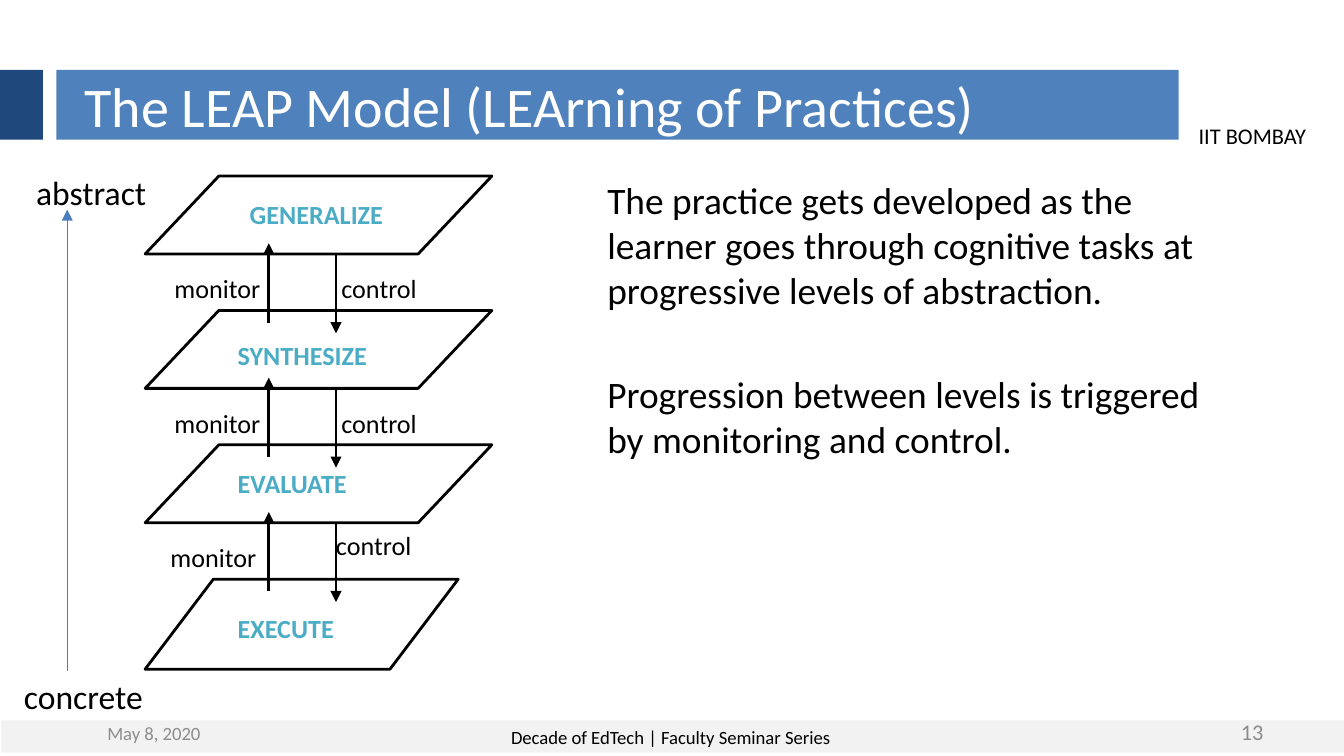
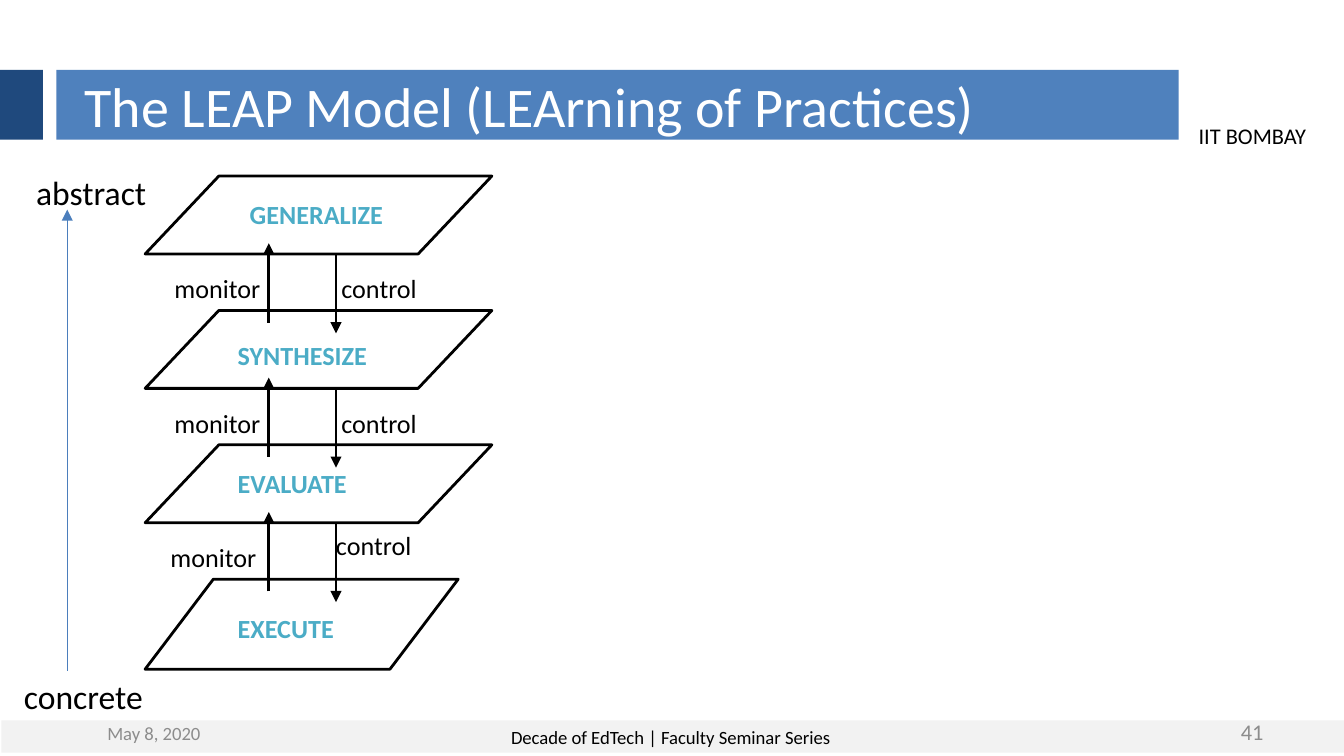
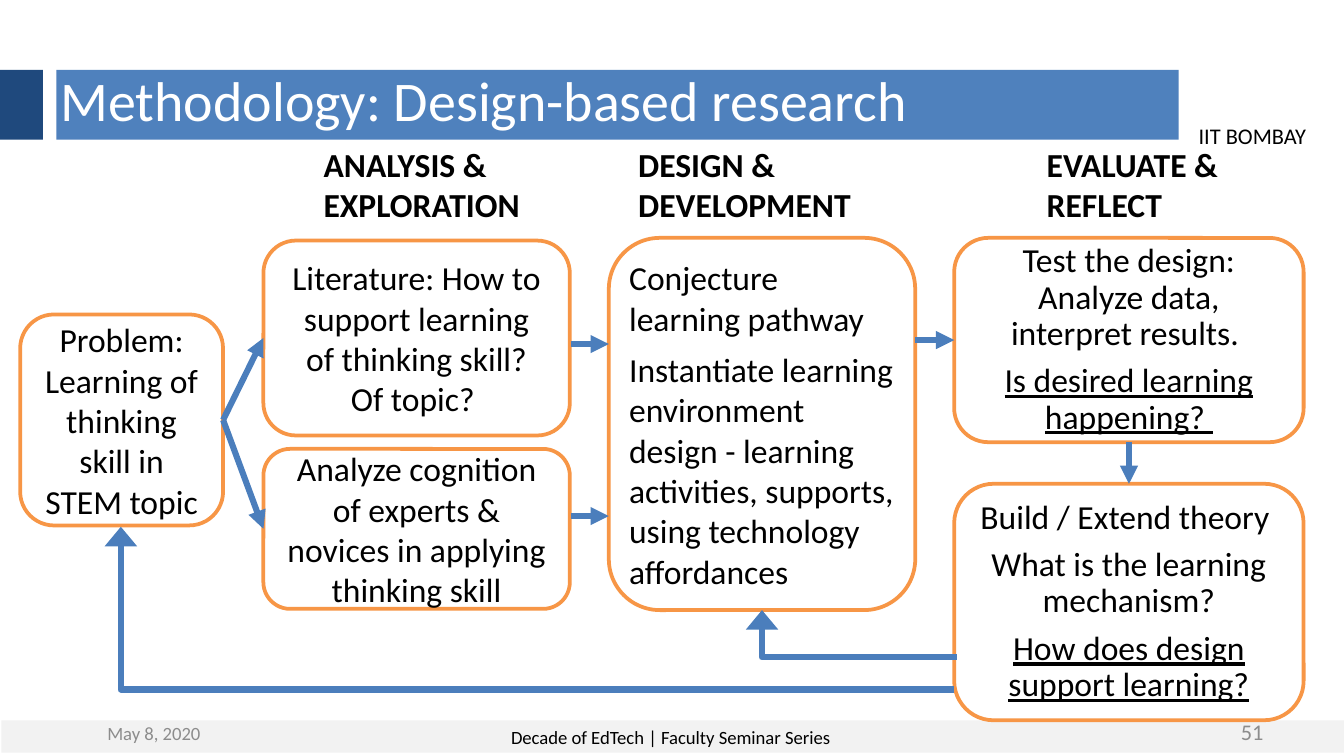
from lxml import etree
from pptx import Presentation
from pptx.dml.color import RGBColor
from pptx.enum import shapes, text
from pptx.oxml import ns
from pptx.util import Inches, Pt

FONT = "Calibri"
COLORS = {
    "black": "000000", "white": "FFFFFF", "gray": "8C8C8C", "footer": "F2F2F2",
    "band": "4F81BD", "navy": "1F497D", "teal": "4BACC6", "arrow": "4B7EBC",
    "orange": "F79646",
}
ORGANIZATION = "IIT BOMBAY"
FOOTER = "Decade of EdTech | Faculty Seminar Series "
DATE = "May 8, 2020"

LEAP_TITLE = "The LEAP Model (LEArning of Practices)"
LEAP_NOTES = [
    "The practice gets developed as the learner goes through cognitive tasks "
    "at progressive levels of abstraction.",
    "Progression between levels is triggered by monitoring and control.",
]
LEVELS = [
    ("GENERALIZE", (1.76, 1.43), (2.58, 0.58), 0.946),
    ("SYNTHESIZE", (1.67, 2.48), (2.58, 0.58), 0.946),
    ("EVALUATE", (1.67, 3.43), (2.58, 0.58), 0.946),
    ("EXECUTE", (1.67, 4.51), (2.33, 0.67), 0.758),
]
STEP_LABELS = [
    ((1.2, 1.98), (2.54, 1.98)),
    ((1.2, 2.98), (2.54, 2.98)),
    ((1.17, 3.98), (2.5, 3.89)),
]
AXIS_ENDS = [("concrete", 0.08, 4.98), ("abstract", 0.17, 1.23)]

METHOD_TITLE = "Methodology: Design-based research"
PHASES = [
    (["ANALYSIS & EXPLORATION"], 2.31, 1.84),
    (["DESIGN &", "DEVELOPMENT"], 4.65, 1.81),
    (["EVALUATE &", "REFLECT"], 7.69, 1.5),
]
STAGES = {
    "problem": ((0.15, 2.34, 1.51, 1.57),
                ["Problem: Learning of thinking skill in STEM topic"], {}),
    "cognition": ((1.96, 3.34, 2.28, 1.19),
                  ["Analyze cognition of experts & novices in applying thinking skill"], {}),
    "design": ((4.53, 1.77, 2.28, 2.77),
               ["Conjecture learning pathway",
                "Instantiate learning environment design - learning activities, "
                "supports, using technology affordances"],
               {"align": "LEFT", "margins": (0.04, 0.04), "gap": 6}),
    "test": ((7.1, 1.77, 2.6, 1.52),
             ["Test the design: Analyze data, interpret results. ",
              "Is desired learning happening? "],
             {"spacing": 0.9, "gap": 6, "underlined": 1}),
    "theory": ((7.1, 3.6, 2.6, 1.76),
               ["Build / Extend theory ", "What is the learning mechanism?",
                "How does design support learning?"],
               {"spacing": 0.9, "gap": 6, "underlined": 2}),
    "literature": ((1.96, 1.79, 2.28, 1.45),
                   ["Literature: How to support learning of thinking skill? Of topic? "], {}),
}
JOINED_ARROWS = [
    ("problem", 3, "literature", 1),
    ("problem", 3, "cognition", 1),
    ("test", 2, "theory", 0),
]
FLOW_ARROWS = [((4.25, 2.56), (4.53, 2.56)), ((4.25, 3.84), (4.53, 3.84))]
FEEDBACK_ARROWS = [((7.12, 4.89), (5.67, 4.54)), ((7.1, 5.13), (0.9, 3.92))]


def color(name):
    return RGBColor.from_string(COLORS[name])


def write(frame, content, size=18, ink="black", bold=False, align="LEFT", anchor="TOP",
          margins=(0.1, 0.1), spacing=None, gap=0, underlined=None):
    frame.word_wrap = True
    frame.auto_size = text.MSO_AUTO_SIZE.NONE
    frame.vertical_anchor = getattr(text.MSO_ANCHOR, anchor)
    frame.margin_left, frame.margin_right = map(Inches, margins)
    frame.margin_top = frame.margin_bottom = Inches(0.05)
    lines = [content] if isinstance(content, str) else content
    for index, line in enumerate(lines):
        para = frame.add_paragraph() if index else frame.paragraphs[0]
        para.alignment = getattr(text.PP_ALIGN, align)
        para.space_before = Pt(gap if index else 0)
        if spacing:
            para.line_spacing = spacing
        span = para.add_run()
        span.text = line
        span.font.name, span.font.size, span.font.bold = FONT, Pt(size), bold
        span.font.color.rgb = color(ink)
        if index == underlined:
            span.font.underline = True


def add_label(parent, content, left, top, width, height, **style):
    box = parent.add_textbox(*map(Inches, (left, top, width, height)))
    write(box.text_frame, content, **style)


def add_box(parent, kind, area, fill=None, line=None, weight=1.5):
    box = parent.add_shape(getattr(shapes.MSO_SHAPE, kind), *map(Inches, area))
    box.shadow.inherit = False
    if fill:
        box.fill.solid()
        box.fill.fore_color.rgb = color(fill)
    else:
        box.fill.background()
    if line:
        box.line.color.rgb = color(line)
        box.line.width = Pt(weight)
    else:
        box.line.fill.background()
    return box


def add_arrow(parent, start, end, ink="arrow", weight=3.25, bent=False):
    kind = shapes.MSO_CONNECTOR.ELBOW if bent else shapes.MSO_CONNECTOR.STRAIGHT
    arrow = parent.add_connector(kind, *map(Inches, (*start, *end)))
    arrow.line.color.rgb = color(ink)
    arrow.line.width = Pt(weight)
    properties = arrow._element.spPr
    head = etree.SubElement(arrow.line._get_or_add_ln(), ns.qn("a:tailEnd"), type="triangle")
    if bent:
        properties.find(ns.qn("a:prstGeom")).set("prst", "bentConnector2")
        head.set("w", "lg")
    etree.SubElement(properties, ns.qn("a:effectLst"))
    return arrow


def add_page(deck, title, number, title_area):
    page = deck.slides.add_slide(deck.slide_layouts.get_by_name("Title Only"))
    for area, fill in [((0.01, 5.36, 10, 0.24), "footer"),
                       ((0.42, 0.52, 8.35, 0.52), "band"),
                       ((0, 0.52, 0.32, 0.52), "navy")]:
        add_box(page.shapes, "RECTANGLE", area, fill)
    add_label(page.shapes, ORGANIZATION, 8.82, 0.86, 1.01, 0.3, size=12)
    add_label(page.shapes, FOOTER, 1.01, 5.35, 7.99, 0.24, size=10, align="CENTER")
    add_label(page.shapes, DATE, 0.7, 5.33, 2.25, 0.25, size=10, ink="gray", anchor="MIDDLE")
    add_label(page.shapes, str(number), 8.88, 5.33, 0.62, 0.23, size=12, ink="gray",
              align="RIGHT", anchor="MIDDLE")
    heading = page.shapes.title
    heading.left, heading.top, heading.width, heading.height = map(Inches, title_area)
    write(heading.text_frame, title, size=30, ink="white", anchor="MIDDLE")
    tree = heading._element.getparent()
    tree.append(heading._element)
    return page


def add_leap_page(deck, number):
    page = add_page(deck, LEAP_TITLE, number, (0.53, 0.53, 8.22, 0.51))
    ladder = page.shapes.add_group_shape().shapes
    for index, (name, spot, size, slant) in enumerate(LEVELS):
        plane = add_box(ladder, "PARALLELOGRAM", (1.08, 1.31 + index, *size), line="black")
        plane.adjustments[0] = slant
        add_label(ladder, name, *spot, 1.24, 0.34, size=14, ink="teal", bold=True)
    for index, (monitor, control) in enumerate(STEP_LABELS):
        add_arrow(ladder, (2, 2.4 + index), (2, 1.81 + index), "black", 1.5)
        add_arrow(ladder, (2.5, 1.9 + index), (2.5, 2.48 + index), "black", 1.5)
        add_label(page.shapes, "monitor", *monitor, 0.8, 0.34, size=14, margins=(0.1, 0))
        add_label(page.shapes, "control", *control, 0.8, 0.34, size=14, margins=(0, 0))
    add_arrow(page.shapes, (0.5, 4.99), (0.5, 1.56), weight=0.75)
    for name, left, top in AXIS_ENDS:
        add_label(page.shapes, name, left, top, 1.09, 0.4)
    return page


def add_method_page(deck, number):
    page = add_page(deck, METHOD_TITLE, number, (0.35, 0.48, 8.4, 0.52))
    stages = {}
    for name, (area, content, style) in STAGES.items():
        stage = add_box(page.shapes, "ROUNDED_RECTANGLE", area, "white", "orange", 2)
        write(stage.text_frame, content, **{"align": "CENTER", "anchor": "MIDDLE", **style})
        stages[name] = stage
    for content, left, width in PHASES:
        add_label(page.shapes, content, left, 1.02, width, 0.71, bold=True)
    for source, source_side, target, target_side in JOINED_ARROWS:
        arrow = add_arrow(page.shapes, (0, 0), (1, 1))
        arrow.begin_connect(stages[source], source_side)
        arrow.end_connect(stages[target], target_side)
    add_arrow(page.shapes, (6.81, 2.53), (7.1, 2.53)).end_connect(stages["test"], 1)
    for start, end in FLOW_ARROWS:
        add_arrow(page.shapes, start, end)
    for start, end in FEEDBACK_ARROWS:
        add_arrow(page.shapes, start, end, weight=3.5, bent=True)


def main():
    deck = Presentation()
    deck.slide_width = Inches(10)
    deck.slide_height = deck.slide_width * 9 // 16
    page = add_leap_page(deck, 13)
    add_label(page.shapes, LEAP_NOTES, 4.42, 1.27, 4.61, 2.54, size=20, gap=32)
    add_leap_page(deck, 41)
    add_method_page(deck, 51)
    deck.save("out.pptx")


if __name__ == "__main__":
    main()
